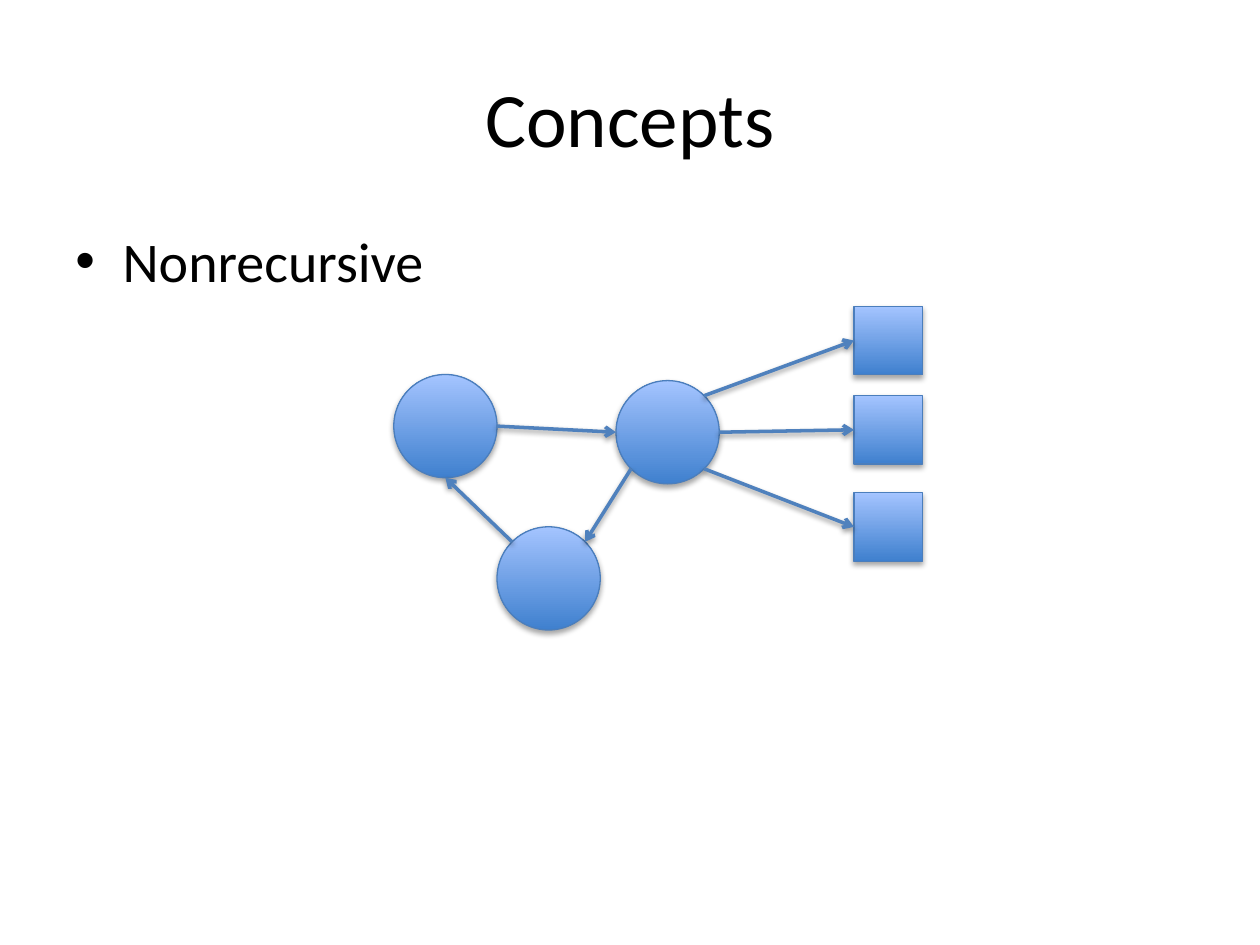
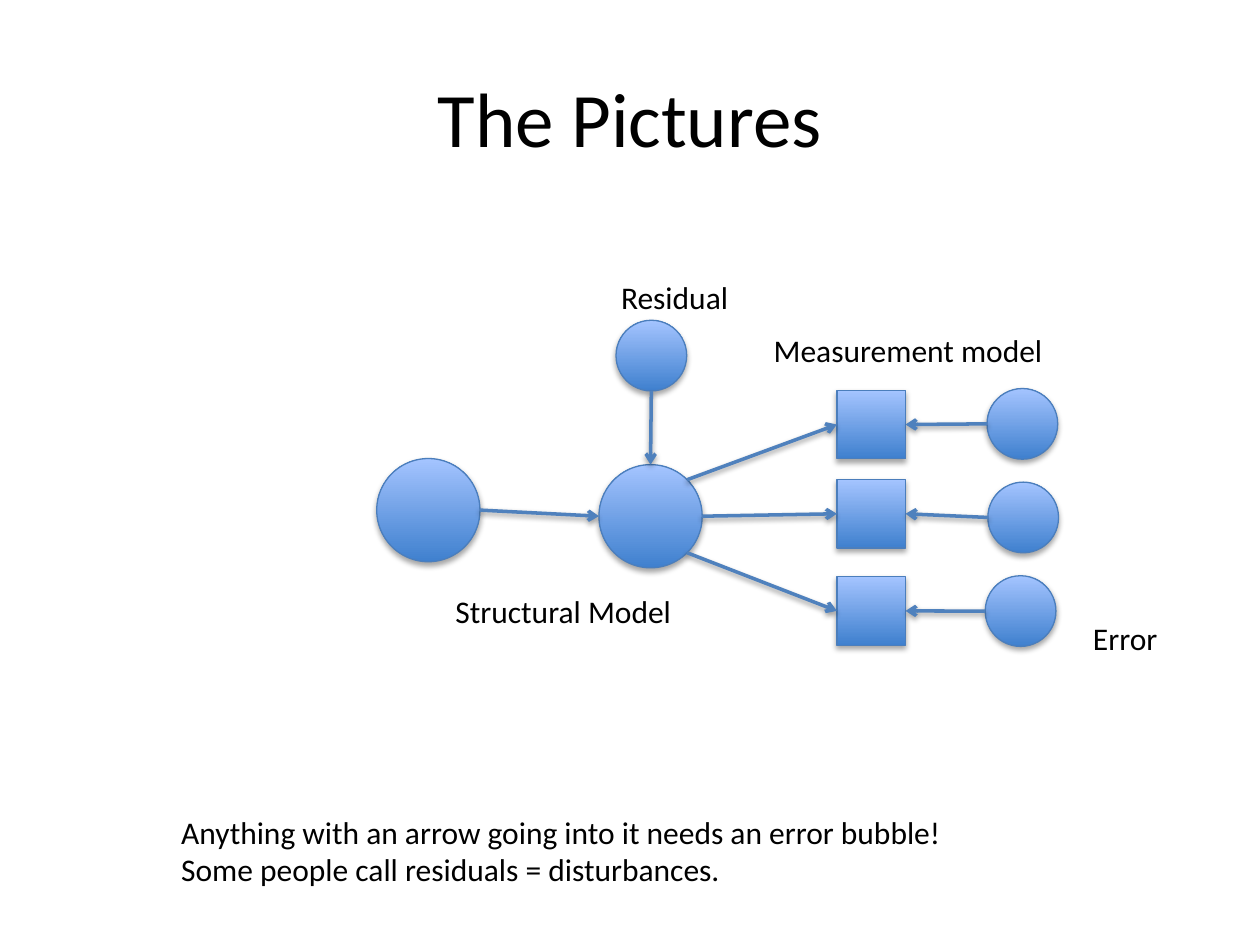
from dataclasses import dataclass, replace
from math import hypot

from lxml.etree import SubElement
from pptx import Presentation
from pptx.dml.color import RGBColor
from pptx.enum.shapes import MSO_CONNECTOR, MSO_SHAPE
from pptx.enum.text import MSO_ANCHOR, PP_ALIGN
from pptx.oxml.ns import qn
from pptx.slide import Slide
from pptx.util import Pt

FONT = "Calibri"
BLACK = "000000"
NODE_BOTTOM, NODE_TOP, NODE_EDGE = "3F80CE", "A4C4FF", "4B7EBC"
ARROW = "4F81BD"
LATENT, OBSERVED, ERROR = 59, 39.2, 40.4

# Directions from a node's centre to the point where an arrow touches it
UP, DOWN, LEFT, RIGHT = (0, -1), (0, 1), (-1, 0), (1, 0)
UP_LEFT, UP_RIGHT, DOWN_LEFT, DOWN_RIGHT = (-1, -1), (1, -1), (-1, 1), (1, 1)


@dataclass(frozen=True)
class Node:
    left: float
    top: float
    size: float
    kind: MSO_SHAPE = MSO_SHAPE.OVAL

    def shifted(self, dx: float, dy: float) -> "Node":
        return replace(self, left=self.left + dx, top=self.top + dy)

    def edge(self, side: tuple[int, int]) -> tuple[float, float]:
        radius = self.size / 2
        reach = radius / hypot(*side)
        return (self.left + radius + side[0] * reach,
                self.top + radius + side[1] * reach)


@dataclass(frozen=True)
class Arrow:
    source: Node
    source_side: tuple[int, int]
    target: Node
    target_side: tuple[int, int]


@dataclass(frozen=True)
class Label:
    text: str
    left: float
    top: float
    width: float
    height: float = 29


PREDICTOR = Node(225, 214, LATENT)
OUTCOME = Node(352, 217.5, LATENT)
INDICATORS = [Node(488, top, OBSERVED, MSO_SHAPE.RECTANGLE)
              for top in (175, 226, 281.5)]


def rgb(color: str) -> RGBColor:
    return RGBColor.from_string(color)


def style_text(frame, size: float) -> None:
    for paragraph in frame.paragraphs:
        paragraph.font.name = FONT
        paragraph.font.size = Pt(size)
        paragraph.font.color.rgb = rgb(BLACK)


def add_shadow(shape, opacity: int, distance: float) -> None:
    effects = SubElement(shape._element.spPr, qn("a:effectLst"))
    shadow = SubElement(effects, qn("a:outerShdw"), blurRad=str(Pt(3.15)),
                        dist=str(Pt(distance)), dir="5400000", rotWithShape="0")
    color = SubElement(shadow, qn("a:srgbClr"), val=BLACK)
    SubElement(color, qn("a:alpha"), val=str(opacity * 1000))


def draw_node(slide: Slide, node: Node) -> None:
    shape = slide.shapes.add_shape(node.kind, Pt(node.left), Pt(node.top),
                                   Pt(node.size), Pt(node.size))
    shape.fill.gradient()
    shape.fill.gradient_angle = 90
    for stop, color in zip(shape.fill.gradient_stops, (NODE_BOTTOM, NODE_TOP)):
        stop.color.rgb = rgb(color)
    shape.line.color.rgb = rgb(NODE_EDGE)
    shape.line.width = Pt(0.75)
    add_shadow(shape, 35, 1.8)


def draw_arrow(slide: Slide, arrow: Arrow) -> None:
    start = arrow.source.edge(arrow.source_side)
    end = arrow.target.edge(arrow.target_side)
    line = slide.shapes.add_connector(MSO_CONNECTOR.STRAIGHT,
                                      *(Pt(value) for value in start + end))
    line.line.color.rgb = rgb(ARROW)
    line.line.width = Pt(2)
    SubElement(line.line._get_or_add_ln(), qn("a:tailEnd"), type="arrow")
    add_shadow(line, 38, 1.6)


def draw_diagram(slide: Slide, nodes: list[Node], arrows: list[Arrow]) -> None:
    for node in nodes:
        draw_node(slide, node)
    for arrow in arrows:
        draw_arrow(slide, arrow)


def draw_label(slide: Slide, label: Label, size: float = 18):
    box = slide.shapes.add_textbox(Pt(label.left), Pt(label.top),
                                   Pt(label.width), Pt(label.height))
    box.text_frame.text = label.text
    style_text(box.text_frame, size)
    return box.text_frame


def add_titled_slide(deck, heading: str) -> Slide:
    slide = deck.slides.add_slide(deck.slide_layouts[5])
    title = slide.shapes.title
    title.left, title.top, title.width, title.height = (
        Pt(36), Pt(21.6), Pt(648), Pt(90))
    title.text_frame.text = heading
    title.text_frame.vertical_anchor = MSO_ANCHOR.MIDDLE
    title.text_frame.paragraphs[0].alignment = PP_ALIGN.CENTER
    style_text(title.text_frame, 44)
    return slide


def path_arrows(predictor: Node, outcome: Node, indicators: list[Node]) -> list[Arrow]:
    """Arrows of the part that both diagrams share."""
    fan = zip((UP_RIGHT, RIGHT, DOWN_RIGHT), indicators)
    return [Arrow(predictor, RIGHT, outcome, LEFT),
            *(Arrow(outcome, side, indicator, LEFT) for side, indicator in fan)]


def build_concepts(deck) -> None:
    slide = add_titled_slide(deck, "Concepts")
    body = draw_label(slide, Label("Nonrecursive", 36, 126, 648, 356.4))
    body.word_wrap = True
    properties = body.paragraphs[0]._p.get_or_add_pPr()
    properties.set("marL", str(Pt(27)))
    properties.set("indent", str(Pt(-27)))
    bullet_font = properties.makeelement(qn("a:buFont"), {"typeface": "Arial"})
    bullet = properties.makeelement(qn("a:buChar"), {"char": "•"})
    properties.insert(0, bullet_font)
    properties.insert(1, bullet)
    style_text(body, 32)

    feedback = Node(284, 301, LATENT)
    draw_diagram(
        slide,
        [PREDICTOR, OUTCOME, feedback, *INDICATORS],
        [*path_arrows(PREDICTOR, OUTCOME, INDICATORS),
         Arrow(OUTCOME, DOWN_LEFT, feedback, UP_RIGHT),
         Arrow(feedback, UP_LEFT, PREDICTOR, DOWN)])


def build_pictures(deck) -> None:
    slide = add_titled_slide(deck, "The Pictures")
    predictor, outcome, *indicators = (
        node.shifted(-9.75, 48) for node in (PREDICTOR, OUTCOME, *INDICATORS))
    residual = Node(352, 183, ERROR)
    errors = [Node(left, top, ERROR)
              for left, top in ((564, 222), (564.5, 275.5), (563, 329))]
    draw_diagram(
        slide,
        [predictor, outcome, residual, *indicators, *errors],
        [*path_arrows(predictor, outcome, indicators),
         Arrow(residual, DOWN, outcome, UP),
         *(Arrow(error, LEFT, indicator, RIGHT)
           for error, indicator in zip(errors, indicators))])
    for label in (
        Label("Structural Model", 253.2, 335, 140),
        Label("Measurement model", 435, 185.8, 170),
        Label("Residual", 347.8, 155.5, 77),
        Label("Error", 617.5, 350, 52),
        Label("Anything with an arrow going into it needs an error bubble!\n"
              "Some people call residuals = disturbances.", 96.5, 460.8, 454, 51),
    ):
        draw_label(slide, label).word_wrap = False


def main() -> None:
    deck = Presentation()
    deck.slide_width, deck.slide_height = Pt(720), Pt(540)
    build_concepts(deck)
    build_pictures(deck)
    deck.save("out.pptx")


if __name__ == "__main__":
    main()
